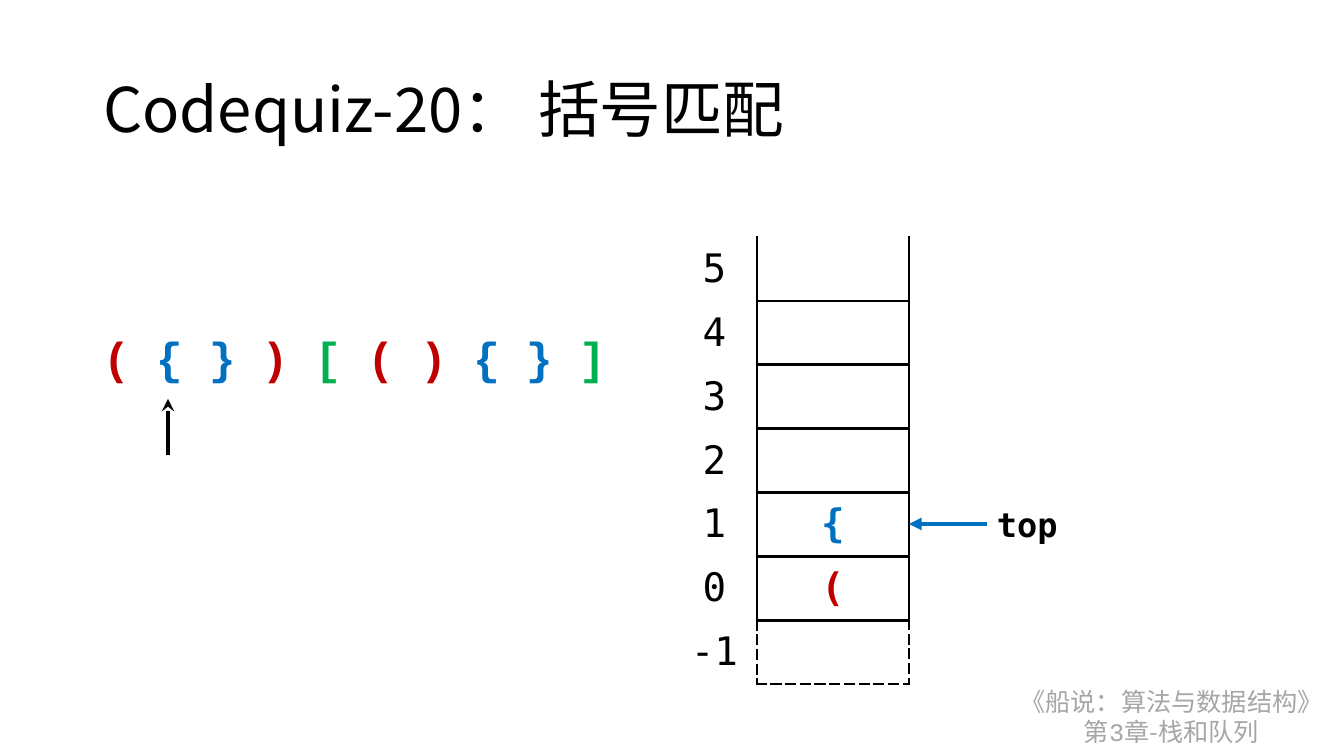
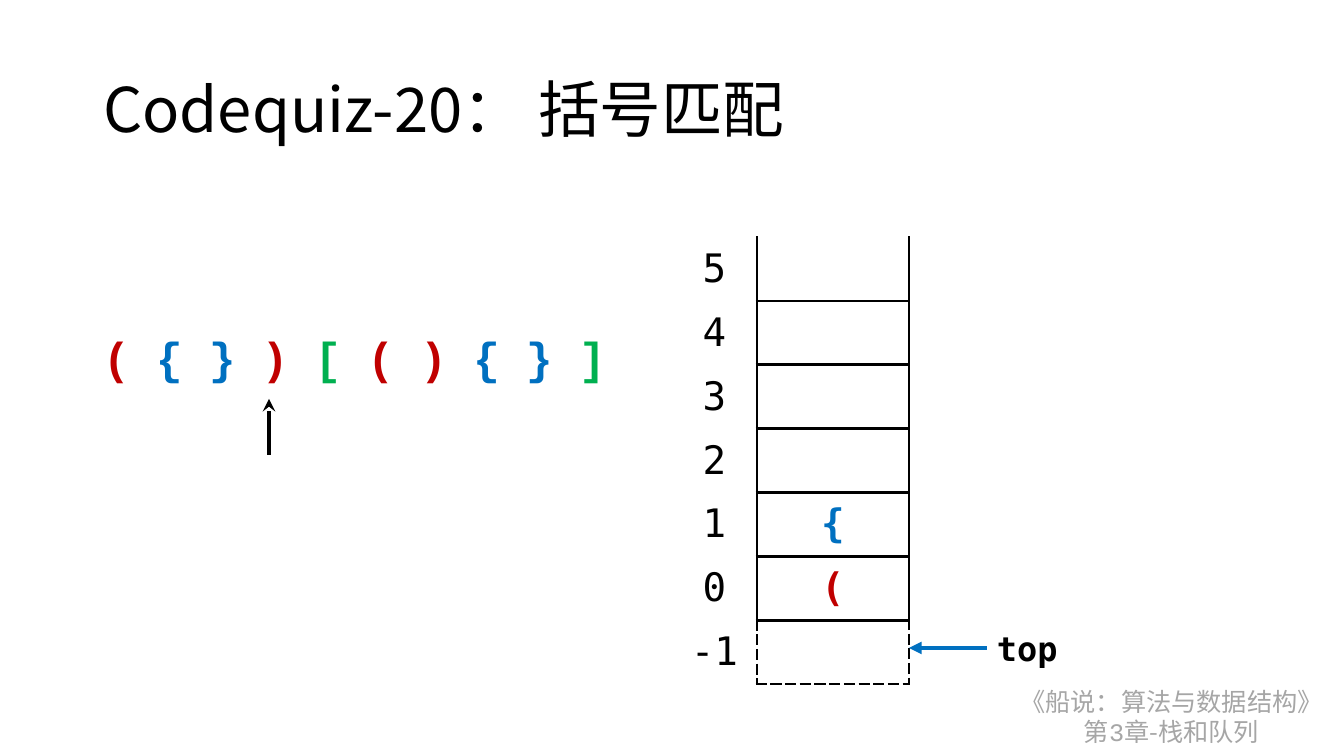
from dataclasses import dataclass

from lxml import etree
from pptx import Presentation
from pptx import util as u
from pptx.dml.color import RGBColor
from pptx.enum import shapes, text
from pptx.oxml.ns import qn


@dataclass(frozen=True)
class Theme:
    black: str = "000000"
    white: str = "FFFFFF"
    grey: str = "A6A6A6"
    red: str = "C00000"
    blue: str = "0070C0"
    green: str = "00B050"
    sans: str = "Noto Sans CJK SC"
    mono: str = "DejaVu Sans Mono"
    code: str = "Courier New"
    title_size: int = 44
    bracket_size: int = 32
    stack_size: int = 28
    top_size: int = 24
    footer_size: int = 18


theme = Theme()
PX = 9071
BRACKET_COLORS = {
    "(": theme.red, ")": theme.red,
    "{": theme.blue, "}": theme.blue,
    "[": theme.green, "]": theme.green,
}
SEQUENCE = "({})[(){}]"
STACK_LEVELS = range(5, -2, -1)
STACKED = {1: "{", 0: "("}
STEPS = [(168, 524), (269, 648)]


def style(run, size, color, font, bold=False):
    run.font.size = u.Pt(size)
    run.font.bold = bold
    run.font.name = font
    run.font.color.rgb = RGBColor.from_string(color)
    east_asian = etree.Element(qn("a:ea"), typeface=font)
    run.font._element.find(qn("a:latin")).addnext(east_asian)


def set_borders(cell, color, width, sides="LRTB", dashed=""):
    cell.fill.background()
    properties = cell._tc.get_or_add_tcPr()
    for index, side in enumerate(sides):
        border = etree.Element(qn(f"a:ln{side}"), w=str(u.Pt(width)))
        fill = etree.SubElement(border, qn("a:solidFill"))
        etree.SubElement(fill, qn("a:srgbClr"), val=color)
        dash = "sysDash" if side in dashed else "solid"
        etree.SubElement(border, qn("a:prstDash"), val=dash)
        properties.insert(index, border)


prs = Presentation()
prs.slide_width = PX * 1344
prs.slide_height = PX * 756
layout = prs.slide_layouts[5]
slides = [prs.slides.add_slide(layout) for _ in STEPS]

footer = slides[0].shapes.add_textbox(PX * 1005, PX * 681, PX * 333, PX * 72)
footer.text_frame.word_wrap = False
footer.text_frame.auto_size = text.MSO_AUTO_SIZE.SHAPE_TO_FIT_TEXT
footer.text_frame.text = "《船说：算法与数据结构》"
chapter = footer.text_frame.add_paragraph()
for part in ("第", "3", "章-栈和队列"):
    chapter.add_run().text = part
for paragraph in footer.text_frame.paragraphs:
    paragraph.alignment = text.PP_ALIGN.CENTER
    for run in paragraph.runs:
        font = theme.code if run.text == "3" else theme.sans
        style(run, theme.footer_size, theme.grey, font)
layout.shapes.element.append(footer.element)

for slide, (pointer_x, top_y) in zip(slides, STEPS):
    title = slide.shapes.title
    title.left, title.top = PX * 93, PX * 40
    title.width, title.height = PX * 1159, PX * 146
    title.text_frame.text = "Codequiz-20： 括号匹配"
    title.text_frame.auto_size = text.MSO_AUTO_SIZE.NONE
    title.text_frame.vertical_anchor = text.MSO_ANCHOR.MIDDLE
    heading = title.text_frame.paragraphs[0]
    heading.alignment = text.PP_ALIGN.LEFT
    heading.line_spacing = 0.9
    style(heading.runs[0], theme.title_size, theme.black, theme.sans)

    stack = slide.shapes.add_table(
        len(STACK_LEVELS), 2, PX * 672, PX * 237, PX * 237, PX * 447).table
    stack.first_row = stack.horz_banding = False
    stack.columns[0].width = PX * 85
    stack.columns[1].width = PX * 152
    for row, level in enumerate(STACK_LEVELS):
        stack.rows[row].height = PX * 447 // len(STACK_LEVELS)
        index_cell, value_cell = stack.cell(row, 0), stack.cell(row, 1)
        below = level < 0
        set_borders(index_cell, theme.black, 2.25, "R", "R" if below else "")
        set_borders(value_cell, theme.black, 2.25,
                    "LRB" if row == 0 else "LRTB", "LRB" if below else "")
        value = STACKED.get(level, "")
        for cell, label, color, bold in (
            (index_cell, str(level), theme.black, False),
            (value_cell, value, BRACKET_COLORS.get(value), True),
        ):
            if label:
                cell.text_frame.text = label
                cell.vertical_anchor = text.MSO_ANCHOR.MIDDLE
                paragraph = cell.text_frame.paragraphs[0]
                paragraph.alignment = text.PP_ALIGN.CENTER
                style(paragraph.runs[0], theme.stack_size, color, theme.mono, bold)

    sequence = slide.shapes.add_table(
        1, len(SEQUENCE), PX * 93, PX * 325, PX * 529, PX * 76).table
    sequence.first_row = sequence.horz_banding = False
    for column, bracket in enumerate(SEQUENCE):
        sequence.columns[column].width = PX * 529 // len(SEQUENCE)
        cell = sequence.cell(0, column)
        set_borders(cell, theme.white, 1)
        cell.vertical_anchor = text.MSO_ANCHOR.MIDDLE
        cell.text_frame.text = bracket
        style(cell.text_frame.paragraphs[0].runs[0], theme.bracket_size,
              BRACKET_COLORS[bracket], theme.code, True)

    top = slide.shapes.add_textbox(PX * 987, PX * (top_y - 25), PX * 82, PX * 50)
    top.text_frame.word_wrap = False
    top.text_frame.auto_size = text.MSO_AUTO_SIZE.SHAPE_TO_FIT_TEXT
    top.text_frame.text = "top"
    style(top.text_frame.paragraphs[0].runs[0], theme.top_size,
          theme.black, theme.mono, True)

    for x1, y1, x2, y2, color, head, source in (
        (pointer_x, 455, pointer_x, 399, theme.black, "stealth", None),
        (987, top_y, 909, top_y, theme.blue, "triangle", top),
    ):
        arrow = slide.shapes.add_connector(
            shapes.MSO_CONNECTOR.STRAIGHT, PX * x1, PX * y1, PX * x2, PX * y2)
        if source is not None:
            arrow.begin_connect(source, 1)
        arrow.line.color.rgb = RGBColor.from_string(color)
        arrow.line.width = u.Pt(3)
        properties = arrow.element.spPr
        etree.SubElement(properties.find(qn("a:ln")), qn("a:tailEnd"), type=head)
        etree.SubElement(properties, qn("a:effectLst"))

prs.save("out.pptx")
